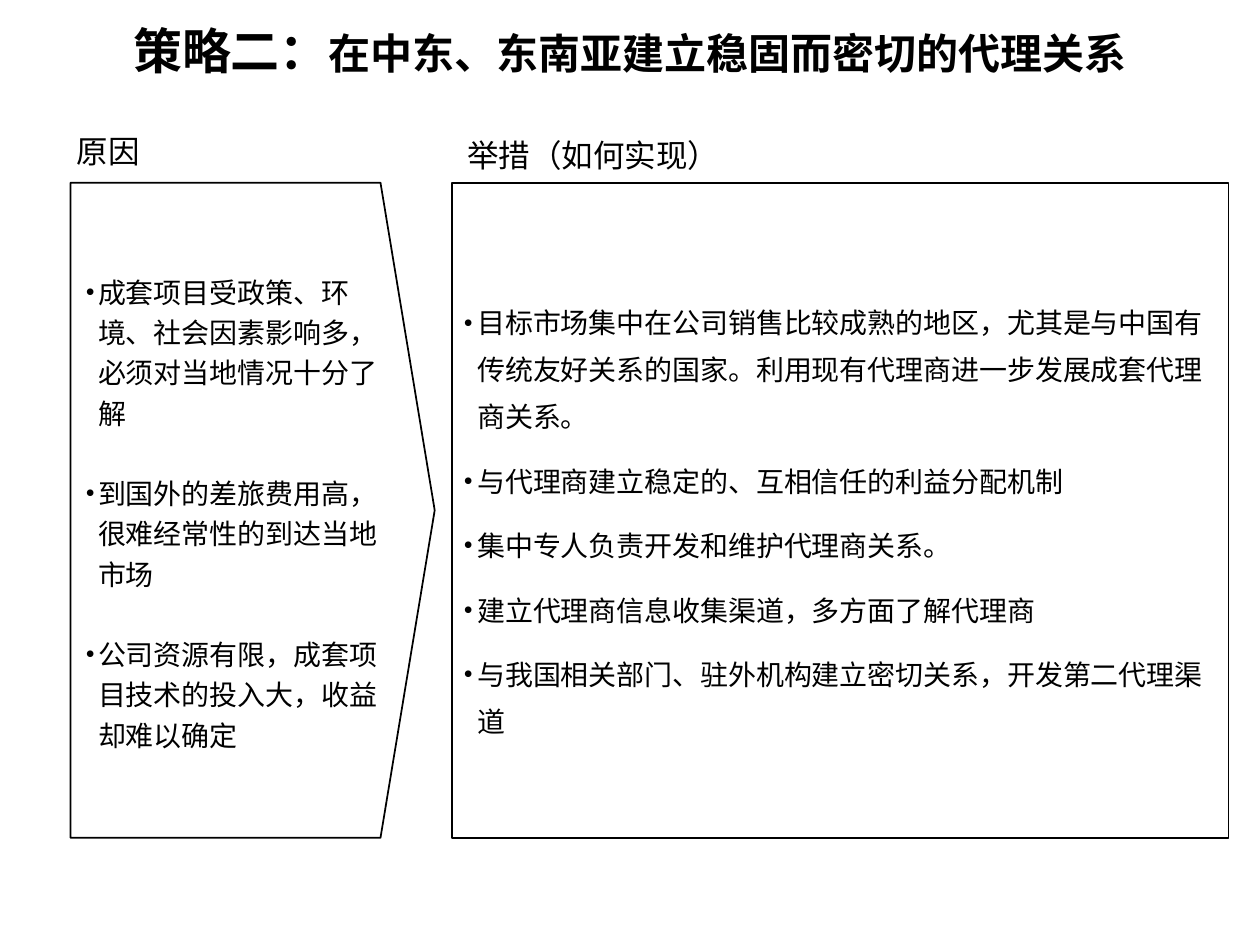
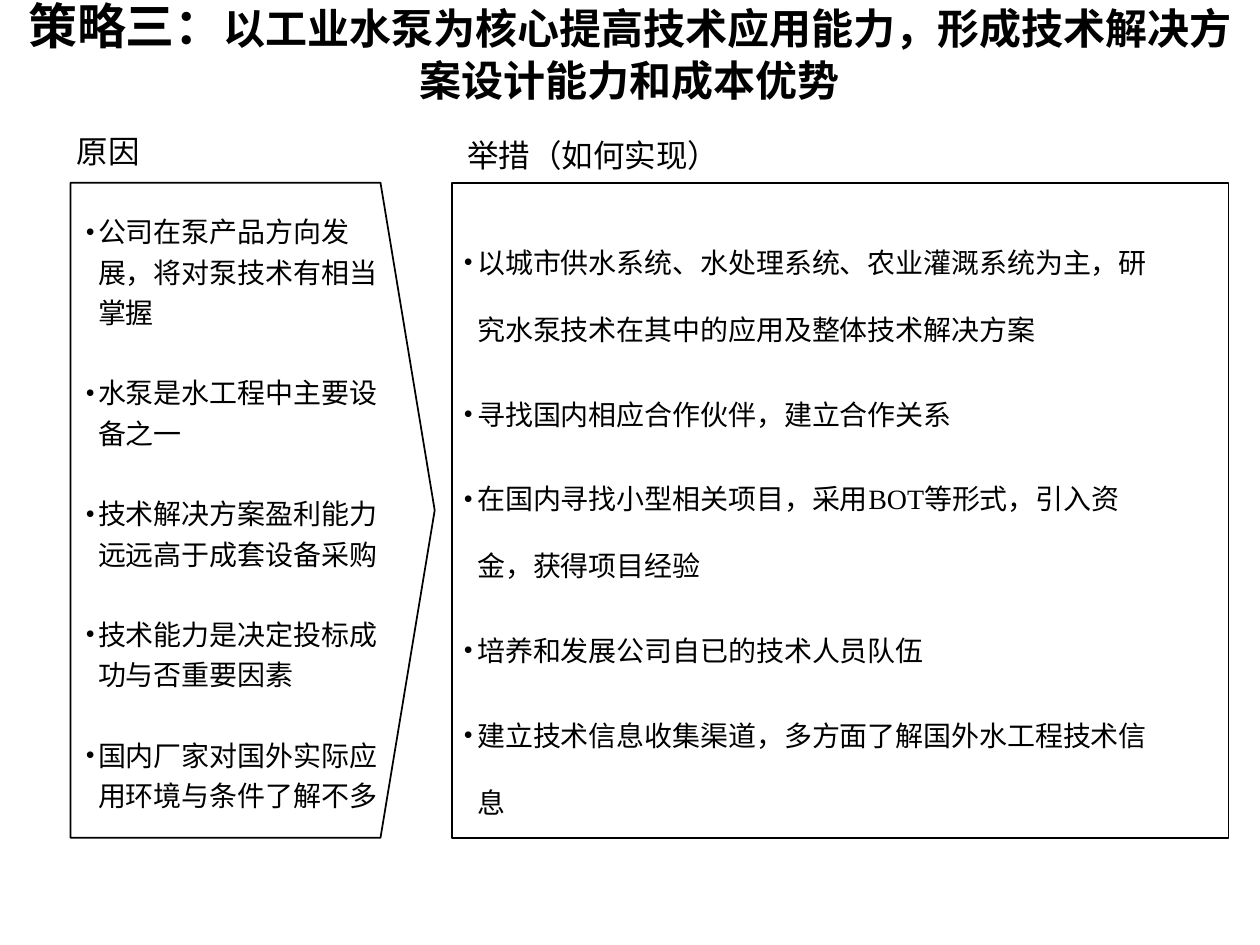
from lxml.etree import SubElement
from pptx import Presentation
from pptx.dml.color import RGBColor
from pptx.enum.shapes import MSO_SHAPE
from pptx.enum.text import MSO_ANCHOR, MSO_AUTO_SIZE, PP_ALIGN
from pptx.oxml.ns import qn
from pptx.util import Inches, Pt

# Shared style
BLACK, WHITE = "000000", "FFFFFF"
SERIF, SANS = "Times New Roman", "Noto Sans CJK SC"
PANEL_TOP, PANEL_HEIGHT = 1.45, 5.2
PANEL_BOTTOM = PANEL_TOP + PANEL_HEIGHT
ARROW_LEFT, ARROW_SHOULDER, ARROW_TIP = 0.56, 3.02, 3.45
MEASURES_LEFT, MEASURES_WIDTH = 3.59, 6.16
HEADINGS = [("原因", 0.51, 1.0, 0.7), ("举措（如何实现）", 3.61, 1.03, 2.2)]

# Content of the two strategies
strategies = [
    {
        "title": ("策略二：", "在中东、东南亚建立稳固而密切的代理关系"),
        "reasons": [
            "成套项目受政策、环境、社会因素影响多，必须对当地情况十分了解",
            "到国外的差旅费用高，很难经常性的到达当地市场",
            "公司资源有限，成套项目技术的投入大，收益却难以确定",
        ],
        "measures": [
            "目标市场集中在公司销售比较成熟的地区，尤其是与中国有传统友好关系的国家。"
            "利用现有代理商进一步发展成套代理商关系。",
            "与代理商建立稳定的、互相信任的利益分配机制",
            "集中专人负责开发和维护代理商关系。",
            "建立代理商信息收集渠道，多方面了解代理商",
            "与我国相关部门、驻外机构建立密切关系，开发第二代理渠道",
        ],
        "measures_box": (3.58, 2.27, 6.17, 3.64),
        "measures_spacing": 1.4,
    },
    {
        "title": ("策略三：", "以工业水泵为核心提高技术应用能力，形成技术解决方案设计能力和成本优势"),
        "reasons": [
            "公司在泵产品方向发展，将对泵技术有相当掌握",
            "水泵是水工程中主要设备之一",
            "技术解决方案盈利能力远远高于成套设备采购",
            "技术能力是决定投标成功与否重要因素",
            "国内厂家对国外实际应用环境与条件了解不多",
        ],
        "measures": [
            "以城市供水系统、水处理系统、农业灌溉系统为主，研究水泵技术在其中的应用及整体技术解决方案",
            "寻找国内相应合作伙伴，建立合作关系",
            "在国内寻找小型相关项目，采用BOT等形式，引入资金，获得项目经验",
            "培养和发展公司自已的技术人员队伍",
            "建立技术信息收集渠道，多方面了解国外水工程技术信息",
        ],
        "measures_box": (3.58, 1.63, 5.75, 4.92),
        "measures_spacing": 2.0,
    },
]


def add_run(paragraph, text, font_name, size, bold=False):
    run = paragraph.add_run()
    run.text = text
    font_format = {"name": font_name, "size": Pt(size), "bold": bold}
    for attribute, value in font_format.items():
        setattr(run.font, attribute, value)
    run.font.color.rgb = RGBColor.from_string(BLACK)


def add_text_box(slide, box, texts, font_name, size, wrap=True, bullet_indent=0, **paragraph_format):
    frame = slide.shapes.add_textbox(*map(Inches, box)).text_frame
    frame.word_wrap = wrap
    frame.vertical_anchor = MSO_ANCHOR.MIDDLE
    for index, text in enumerate(texts):
        paragraph = frame.add_paragraph() if index else frame.paragraphs[0]
        if bullet_indent:
            properties = paragraph._p.get_or_add_pPr()
            properties.set("marL", str(Inches(bullet_indent)))
            properties.set("indent", str(-Inches(bullet_indent)))
            # Keep line-end punctuation inside the box
            properties.set("hangingPunct", "0")
            SubElement(properties, qn("a:buFont"), typeface=SERIF)
            SubElement(properties, qn("a:buChar"), char="•")
        for attribute, value in paragraph_format.items():
            if index or attribute != "space_before":
                setattr(paragraph, attribute, value)
        add_run(paragraph, text, font_name, size)


presentation = Presentation()
presentation.slide_width, presentation.slide_height = Inches(10), Inches(7.5)
title_only = presentation.slide_layouts[5]

for strategy in strategies:
    slide = presentation.slides.add_slide(title_only)

    # Title band across the full width
    title = slide.shapes.title
    title.left, title.top = 0, 0
    title.width, title.height = presentation.slide_width, Inches(0.8)
    title.text_frame.auto_size = MSO_AUTO_SIZE.NONE
    title.text_frame.vertical_anchor = MSO_ANCHOR.MIDDLE
    paragraph = title.text_frame.paragraphs[0]
    paragraph.alignment = PP_ALIGN.CENTER
    label, statement = strategy["title"]
    add_run(paragraph, label, SERIF, 28, bold=True)
    add_run(paragraph, statement, SANS, 24, bold=True)

    # Arrow-shaped panel for reasons, rectangle for measures
    outline = slide.shapes.build_freeform(Inches(ARROW_LEFT), Inches(PANEL_TOP))
    corners = [
        (ARROW_SHOULDER, PANEL_TOP),
        (ARROW_TIP, PANEL_TOP + PANEL_HEIGHT / 2),
        (ARROW_SHOULDER, PANEL_BOTTOM),
        (ARROW_LEFT, PANEL_BOTTOM),
    ]
    outline.add_line_segments([(Inches(x), Inches(y)) for x, y in corners], close=True)
    reasons_panel = outline.convert_to_shape()
    reasons_panel.fill.solid()
    reasons_panel.fill.fore_color.rgb = RGBColor.from_string(WHITE)
    measures_panel = slide.shapes.add_shape(
        MSO_SHAPE.RECTANGLE,
        *map(Inches, (MEASURES_LEFT, PANEL_TOP, MEASURES_WIDTH, PANEL_HEIGHT)))
    measures_panel.fill.background()
    for panel in (reasons_panel, measures_panel):
        panel.shadow.inherit = False
        panel.line.color.rgb = RGBColor.from_string(BLACK)
        panel.line.width = Pt(1)

    # Panel headings
    for heading, left, top, width in HEADINGS:
        add_text_box(slide, (left, top, width, 0.4), [heading], SERIF, 18,
                     wrap=False, alignment=PP_ALIGN.CENTER)

    # Bullet lists
    add_text_box(slide, (0.58, PANEL_TOP, 2.6, PANEL_HEIGHT), strategy["reasons"], SANS, 16,
                 bullet_indent=0.1, line_spacing=1.2, space_before=Pt(23))
    add_text_box(slide, strategy["measures_box"], strategy["measures"], SERIF, 16,
                 bullet_indent=0.11, line_spacing=strategy["measures_spacing"],
                 space_before=Pt(10))

presentation.save("out.pptx")
